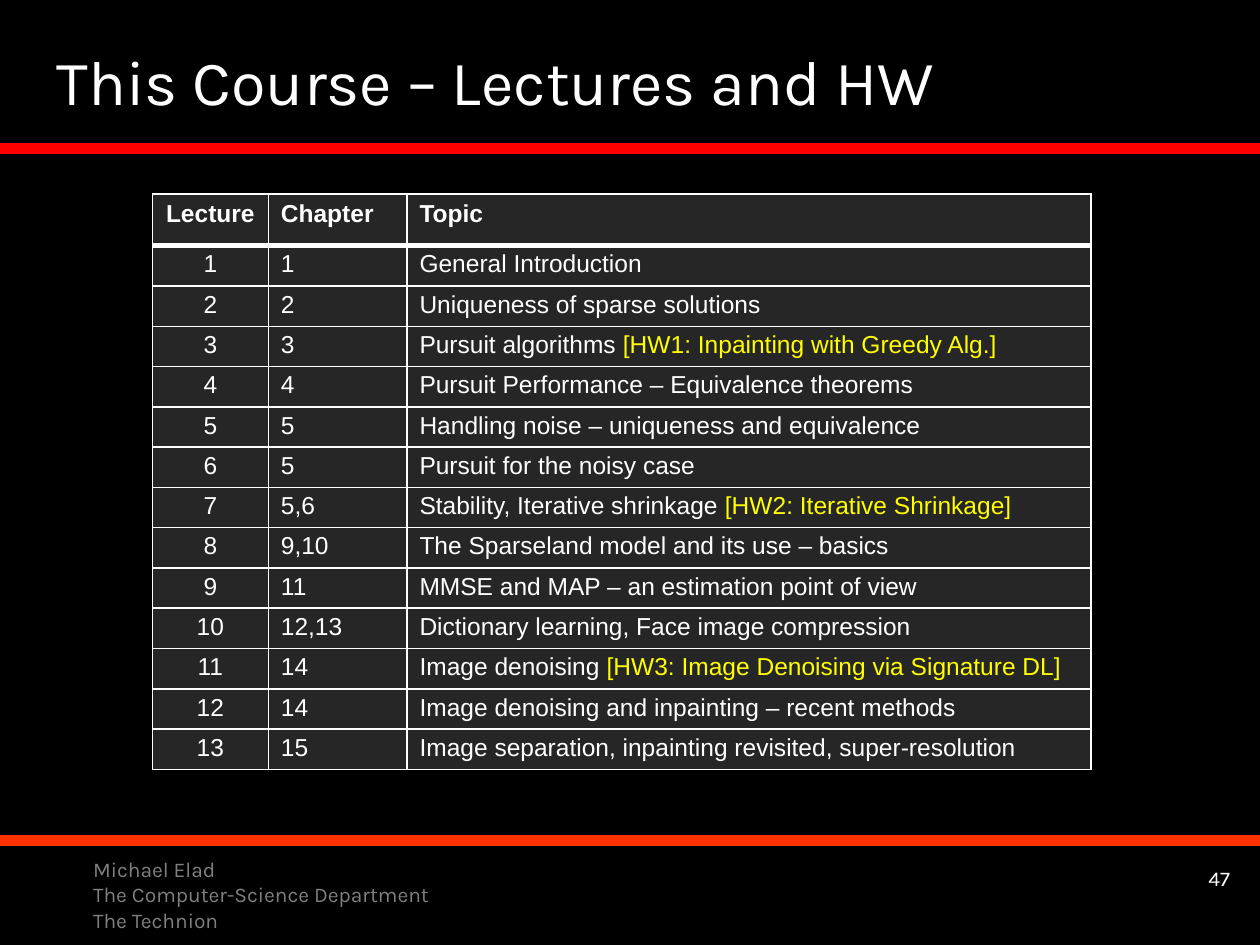
from lxml import etree
from pptx import Presentation
from pptx.dml.color import RGBColor
from pptx.enum.shapes import MSO_CONNECTOR
from pptx.enum.text import MSO_ANCHOR, PP_ALIGN
from pptx.oxml.ns import qn
from pptx.util import Inches, Pt

LEFT, CENTER, RIGHT = PP_ALIGN.LEFT, PP_ALIGN.CENTER, PP_ALIGN.RIGHT
TOP, MIDDLE = MSO_ANCHOR.TOP, MSO_ANCHOR.MIDDLE
STRAIGHT = MSO_CONNECTOR.STRAIGHT
WHITE, YELLOW, GRAY, CELL = "FFFFFF", "FFFF00", "808080", "262626"
color = RGBColor.from_string


def write(frame, lines, size=12, font="Karla", bold=False, align=LEFT, anchor=TOP):
    """Each line is a list of (text, colour) spans."""
    frame.word_wrap = True
    frame.vertical_anchor = anchor
    for index, spans in enumerate(lines):
        para = frame.paragraphs[0] if index == 0 else frame.add_paragraph()
        para.alignment = align
        for text, shade in spans:
            span = para.add_run()
            span.text = text
            span.font.size, span.font.name, span.font.bold = Pt(size), font, bold
            span.font.color.rgb = color(shade)


def border(cell, side, width):
    line = etree.SubElement(cell._tc.get_or_add_tcPr(), qn(f"a:ln{side}"), w=str(Pt(width)))
    fill = etree.SubElement(line, qn("a:solidFill"))
    etree.SubElement(fill, qn("a:srgbClr"), val=WHITE)


deck = Presentation()
deck.slide_width, deck.slide_height = Inches(10), Inches(7.5)
page = deck.slides.add_slide(deck.slide_layouts[5])
page.background.fill.solid()
page.background.fill.fore_color.rgb = color("000000")

# Rules across the slide
for height, shade in [(6.67, "FF3300"), (1.18, "FF0000")]:
    rule = page.shapes.add_connector(STRAIGHT, 0, Inches(height), deck.slide_width, Inches(height))
    rule.line.color.rgb = color(shade)
    rule.line.width = Pt(6)
    etree.SubElement(rule._element.spPr, qn("a:effectLst"))

# Title
title = page.shapes.title
title.left, title.top, title.width, title.height = 0, Inches(0.17), Inches(9.87), Inches(0.93)
title.text_frame.margin_left = Inches(0.45)
write(title.text_frame, [[("This Course – Lectures and HW", WHITE)]], size=36, anchor=MIDDLE)

# Page number and author
number = page.shapes.add_textbox(Inches(7.78), Inches(6.82), Inches(2.08), Inches(0.5))
write(number.text_frame, [[("47", WHITE)]], align=RIGHT)
author = page.shapes.add_textbox(Inches(0.64), Inches(6.75), Inches(4.49), Inches(0.75))
credits = ["Michael Elad", "The Computer-Science Department", "The Technion"]
write(author.text_frame, [[(line, GRAY)] for line in credits])

# Lecture table: chapter, topic, homework
lectures = [
    ("1", "General Introduction", ""),
    ("2", "Uniqueness of sparse solutions", ""),
    ("3", "Pursuit algorithms ", "[HW1: Inpainting with Greedy Alg.]"),
    ("4", "Pursuit Performance – Equivalence theorems", ""),
    ("5", "Handling noise – uniqueness and equivalence", ""),
    ("5", "Pursuit for the noisy case", ""),
    ("5,6", "Stability, Iterative shrinkage ", "[HW2: Iterative Shrinkage]"),
    ("9,10", "The Sparseland model and its use – basics", ""),
    ("11", "MMSE and MAP – an estimation point of view", ""),
    ("12,13", "Dictionary learning, Face image compression", ""),
    ("14", "Image denoising ", "[HW3: Image Denoising via Signature DL]"),
    ("14", "Image denoising and inpainting – recent methods", ""),
    ("15", "Image separation, inpainting revisited, super-resolution", ""),
]
rows = [("Lecture", "Chapter", "Topic", "")]
rows += [(str(lecture), *entry) for lecture, entry in enumerate(lectures, 1)]
widths = [0.92, 1.1, 5.43]
header_height, row_height = 0.41, 0.32
table = page.shapes.add_table(
    len(rows), len(widths), Inches(1.21), Inches(1.54), Inches(sum(widths)),
    Inches(header_height + row_height * len(lectures))).table
table.first_row = table.horz_banding = False
for column, width in zip(table.columns, widths):
    column.width = Inches(width)

for row, (lecture, chapter, topic, homework) in enumerate(rows):
    table.rows[row].height = Inches(row_height if row else header_height)
    topic_spans = [(topic, WHITE)] + ([(homework, YELLOW)] if homework else [])
    for column, spans in enumerate([[(lecture, WHITE)], [(chapter, WHITE)], topic_spans]):
        cell = table.cell(row, column)
        cell.margin_top = cell.margin_bottom = Inches(0.05 if row == 0 else 0.04)
        write(cell.text_frame, [spans], size=14, font="Arial", bold=row == 0,
              align=LEFT if column else CENTER)
        for side in "LRTB":
            under_header = (row, side) in [(0, "B"), (1, "T")]
            border(cell, side, 3 if under_header else 1)
        cell.fill.solid()
        cell.fill.fore_color.rgb = color(CELL)

deck.save("out.pptx")
